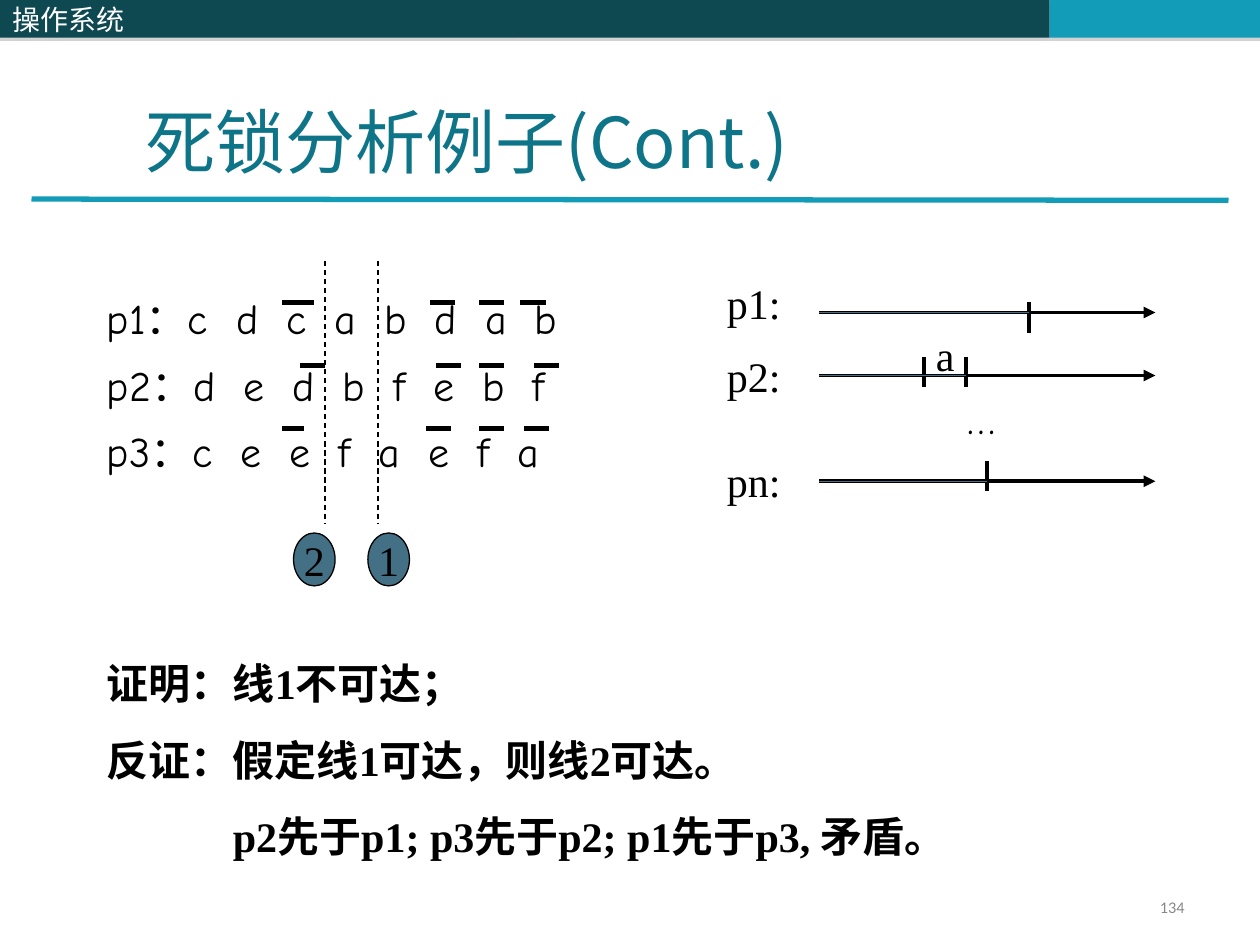
from lxml.etree import SubElement
from pptx import Presentation
from pptx.dml.color import RGBColor
from pptx.enum.dml import MSO_LINE
from pptx.enum.shapes import MSO_CONNECTOR, MSO_SHAPE
from pptx.enum.text import MSO_ANCHOR, PP_ALIGN
from pptx.oxml.ns import qn
from pptx.util import Inches, Pt

BLACK = RGBColor(0x00, 0x00, 0x00)
WHITE = RGBColor(0xFF, 0xFF, 0xFF)
DARK = RGBColor(0x0E, 0x48, 0x51)
CYAN = RGBColor(0x13, 0x9C, 0xB7)
TEAL = RGBColor(0x0E, 0x75, 0x89)
SLATE = RGBColor(0x43, 0x70, 0x85)
GREY = RGBColor(0x89, 0x89, 0x89)
HAN = "Noto Sans CJK SC"
COMIC = "Comic Neue"
TIMES = "Times New Roman"


class Board:
    """Holds the text style and the slide being drawn."""

    def __init__(self, slide, font=TIMES, size=24, color=BLACK):
        self.shapes = slide.shapes
        self.font, self.size, self.color = font, size, color

    def label(self, shape, lines, font=None, size=None, color=None, bold=None,
              align=None, space=None, gap=0, anchor=MSO_ANCHOR.TOP, wrap=True):
        frame = shape.text_frame
        frame.word_wrap = wrap
        frame.vertical_anchor = anchor
        for i, line in enumerate(lines):
            para = frame.paragraphs[0] if i == 0 else frame.add_paragraph()
            para.text = line
            para.alignment = align
            if space:
                para.line_spacing = space
            if i and gap:
                para.space_before = Pt(gap)
            face = para.font
            face.size = Pt(size or self.size)
            face.bold = bold
            face.color.rgb = self.color if color is None else color
            face.name = font or self.font
            props = para._p.get_or_add_pPr().find(qn("a:defRPr"))
            SubElement(props, qn("a:ea"), typeface=HAN)
        return frame

    def text(self, box, *lines, **style):
        shape = self.shapes.add_textbox(*map(Inches, box))
        return self.label(shape, lines, **style)

    def shape(self, kind, box, fill, edge=None):
        shape = self.shapes.add_shape(kind, *map(Inches, box))
        shape.shadow.inherit = False
        shape.fill.solid()
        shape.fill.fore_color.rgb = fill
        if edge is None:
            shape.line.fill.background()
        else:
            shape.line.color.rgb = edge
            shape.line.width = Pt(0.75)
        return shape

    def band(self, left, width, fill):
        shape = self.shape(MSO_SHAPE.RECTANGLE, (left, 0, width, 0.3), fill)
        effects = shape._element.spPr.find(qn("a:effectLst"))
        shade = SubElement(effects, qn("a:outerShdw"), blurRad="0",
                           dist=str(Pt(1.8)), dir="5400000", rotWithShape="0")
        tint = SubElement(shade, qn("a:srgbClr"), val="808080")
        SubElement(tint, qn("a:alpha"), val="35000")
        return shape

    def badge(self, left, name):
        shape = self.shape(MSO_SHAPE.OVAL, (left, 4.23, 0.33, 0.42), SLATE, BLACK)
        self.label(shape, [name], align=PP_ALIGN.CENTER,
                   anchor=MSO_ANCHOR.MIDDLE, wrap=False)

    def line(self, x1, y1, x2, y2, width, color=BLACK, dash=False, arrow=False):
        link = self.shapes.add_connector(
            MSO_CONNECTOR.STRAIGHT, *map(Inches, (x1, y1, x2, y2)))
        link.line.color.rgb = color
        link.line.width = Pt(width)
        if dash:
            link.line.dash_style = MSO_LINE.DASH
        if arrow:
            SubElement(link.line._get_or_add_ln(), qn("a:tailEnd"), type="triangle")
        SubElement(link._element.spPr, qn("a:effectLst"))


def main():
    deck = Presentation()
    deck.slide_width, deck.slide_height = Inches(10), Inches(7.5)
    board = Board(deck.slides.add_slide(deck.slide_layouts[6]))

    board.band(4.08, 4.25, DARK)
    board.band(8.33, 1.67, CYAN)
    board.line(0.25, 1.58, 9.75, 1.59, 3, CYAN)
    head = board.band(0, 4.08, DARK)
    board.label(head, ["操作系统"], font=HAN, size=16, color=WHITE,
                align=PP_ALIGN.LEFT, anchor=MSO_ANCHOR.MIDDLE)
    board.text((7.17, 7.08, 2.33, 0.27), "134", font="Calibri", size=9.3, color=GREY,
               align=PP_ALIGN.RIGHT, space=0.8, anchor=MSO_ANCHOR.MIDDLE)
    board.text((1.06, 0.25, 8.5, 1.25), "死锁分析例子(Cont.)", font=HAN, size=40,
               color=TEAL, anchor=MSO_ANCHOR.BOTTOM)

    board.text((0.75, 2.35, 8.67, 2.13), "p1：c  d  c  a  b  d  a  b",
               "p2：d  e  d  b  f  e  b  f", "p3：c  e  e  f  a  e  f  a",
               font=COMIC, space=0.8, gap=15)
    bars = {
        2.4: [(2.24, 0.25), (3.41, 0.2), (3.8, 0.2), (4.13, 0.2)],
        2.9: [(2.38, 0.2), (3.46, 0.2), (3.8, 0.2), (4.24, 0.2)],
        3.4: [(2.24, 0.17), (3.38, 0.2), (3.8, 0.2), (4.16, 0.2)],
    }
    for y, row in bars.items():
        for x, width in row:
            board.line(x, y, x + width, y, 3)
    for x, left, name in [(3, 2.92, "1"), (2.58, 2.33, "2")]:
        board.line(x, 2.07, x, 4.15, 0.75, dash=True)
        board.badge(left, name)

    proof = board.text((0.75, 5.17, 8.08, 1.72), "证明：线1不可达；",
                       "反证：假定线1可达，则线2可达。",
                       "p2先于p1; p3先于p2; p1先于p3, 矛盾。", bold=True, gap=15)
    proof.paragraphs[2]._p.get_or_add_pPr().set("marL", str(Inches(1)))

    tracks = [
        ("p1:", 2.15, 2.48, 2.4, [8.17]),
        ("p2:", 2.73, 2.98, 2.83, [7.33, 7.67]),
        ("pn:", 3.57, 3.82, 3.66, [7.83]),
    ]
    for name, top, y, tick, marks in tracks:
        board.text((5.67, top, 0.67, 0.5), name)
        board.line(6.5, y, 9.17, y, 2.25, arrow=True)
        for x in marks:
            board.line(x, tick, x, tick + 0.24, 2.25)
        board.line(6.5, y, marks[-1], y, 0.75, SLATE)
    board.text((7.58, 3.07, 0.75, 0.5), "…", font=COMIC)
    board.text((7.33, 2.57, 0.33, 0.5), "a")

    deck.save("out.pptx")


if __name__ == "__main__":
    main()
